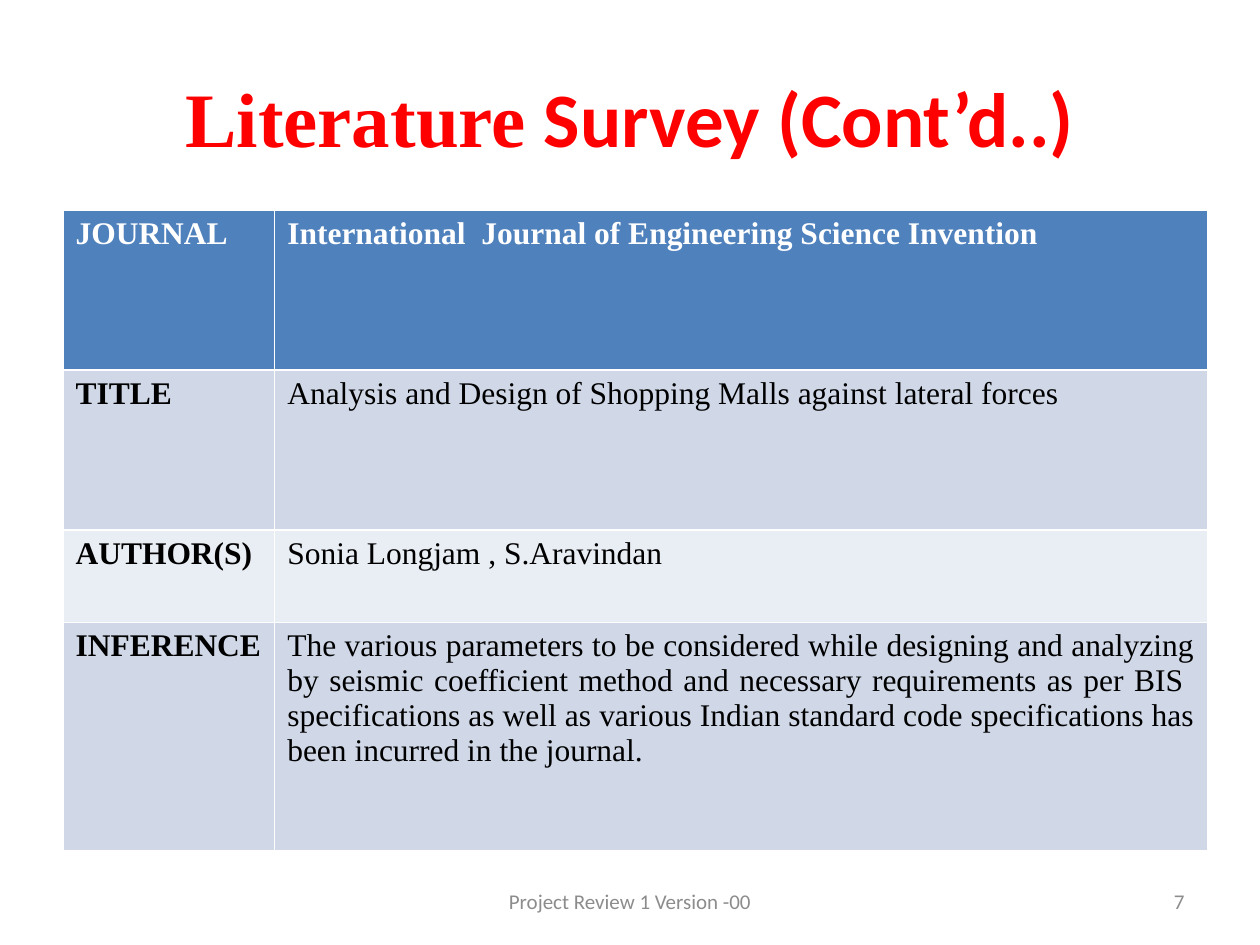
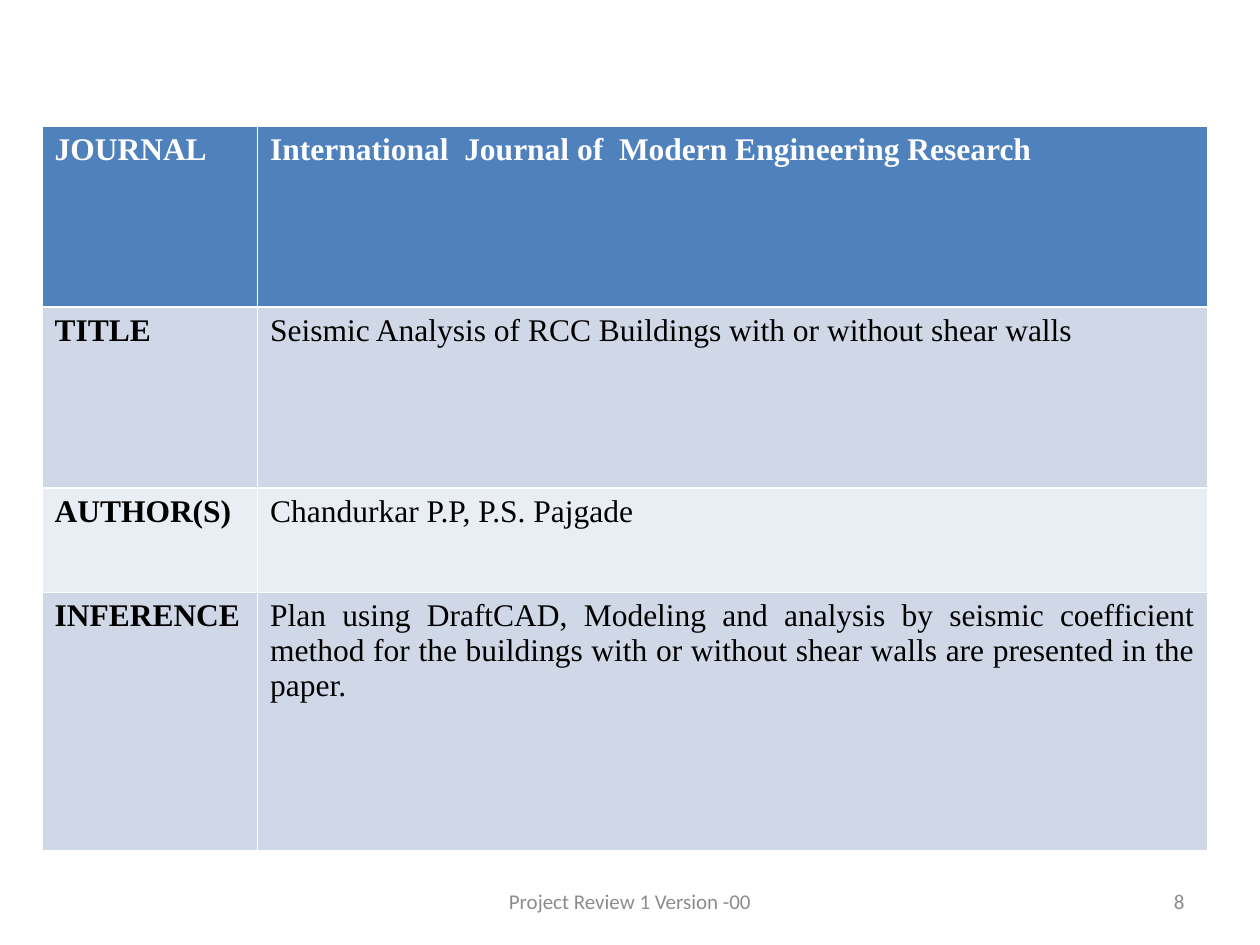
"""Build two literature survey slides, each with a paper summary table."""

from dataclasses import dataclass

from pptx import Presentation
from pptx.dml.color import RGBColor
from pptx.enum.text import MSO_ANCHOR as Anchor, PP_ALIGN as Align
from pptx.slide import Slide
from pptx.text.text import Font
from pptx.util import Pt

SERIF, SANS = "Times New Roman", "Calibri"
RED, WHITE, BLACK, GREY = "FF0000", "FFFFFF", "000000", "8C8C8C"
FILLS = ("4F81BD", "D0D8E8", "E9EDF4", "D0D8E8")
LABELS = ("JOURNAL", "TITLE", "AUTHOR(S)", "INFERENCE")
SHARES = (0.25, 0.25, 0.144, 0.356)
LABEL_SHARE = 0.185
RIGHT, BOTTOM = 690, 486
FOOTER = "Project Review 1 Version -00"


@dataclass
class Box:
    """A frame on the slide, in points."""

    left: float
    top: float
    width: float
    height: float


@dataclass
class Run:
    """A piece of text in one font."""

    text: str
    face: str


@dataclass
class Paper:
    """One surveyed paper and the place of its table."""

    number: int
    left: float
    top: float
    values: tuple[str, str, str, str]
    title: tuple[Run, ...] = ()


PAPERS = (
    Paper(7, 36, 120, (
        "International  Journal of Engineering Science Invention",
        "Analysis and Design of Shopping Malls against lateral forces",
        "Sonia Longjam , S.Aravindan",
        "The various parameters to be considered while designing and analyzing "
        "by seismic coefficient method and necessary requirements as per BIS  "
        "specifications as well as various Indian standard code specifications "
        "has been incurred in the journal.",
    ), (Run("Literature", SERIF), Run(" Survey (Cont’d..)", SANS))),
    Paper(8, 24, 72, (
        "International  Journal of  Modern Engineering Research",
        "Seismic Analysis of RCC Buildings with or without shear walls",
        "Chandurkar P.P, P.S. Pajgade",
        "Plan using DraftCAD, Modeling and analysis by seismic coefficient "
        "method for the buildings with or without shear walls are presented "
        "in the paper.",
    )),
)
TITLE_BOX = Box(36, 21.6, 648, 90)
FOOT_BOX = Box(246, 500.5, 228, 28.75)
PAGE_BOX = Box(516, 500.5, 168, 28.75)


def color(code: str) -> RGBColor:
    """Turn a hex string into a colour."""
    return RGBColor.from_string(code)


def style(font: Font, size: float, code: str, bold: bool = False) -> None:
    """Set the size, colour and weight of a font."""
    font.size, font.bold = Pt(size), bold
    font.color.rgb = color(code)


def write(slide: Slide, box: Box, runs: tuple[Run, ...], align: Align,
          size: float, code: str, bold: bool = False) -> None:
    """Add a one-line text box, centred in height."""
    frame = slide.shapes.add_textbox(
        Pt(box.left), Pt(box.top), Pt(box.width), Pt(box.height)).text_frame
    frame.word_wrap = True
    frame.vertical_anchor = Anchor.MIDDLE
    para = frame.paragraphs[0]
    para.alignment = align
    style(para.font, size, code, bold)
    for item in runs:
        run = para.add_run()
        run.text, run.font.name = item.text, item.face
        style(run.font, size, code, bold)


def tabulate(slide: Slide, paper: Paper) -> None:
    """Add the summary table, with rows and columns sized by share."""
    width, height = RIGHT - paper.left, BOTTOM - paper.top
    table = slide.shapes.add_table(
        len(LABELS), 2, Pt(paper.left), Pt(paper.top),
        Pt(width), Pt(height)).table
    for column, share in zip(table.columns, (LABEL_SHARE, 1 - LABEL_SHARE)):
        column.width = Pt(width * share)
    for i, pair in enumerate(zip(LABELS, paper.values)):
        table.rows[i].height = Pt(height * SHARES[i])
        for j, text in enumerate(pair):
            cell = table.cell(i, j)
            cell.fill.solid()
            cell.fill.fore_color.rgb = color(FILLS[i])
            cell.text = text
            para = cell.text_frame.paragraphs[0]
            para.alignment = Align.JUSTIFY if j else Align.LEFT
            para.font.name = SERIF
            style(para.font, 18, BLACK if i else WHITE, i == 0 or j == 0)


def main() -> None:
    """Build and save the slides."""
    deck = Presentation()
    deck.slide_width, deck.slide_height = Pt(720), Pt(540)
    for paper in PAPERS:
        slide = deck.slides.add_slide(deck.slide_layouts[6])
        if paper.title:
            write(slide, TITLE_BOX, paper.title, Align.CENTER, 44, RED, True)
        tabulate(slide, paper)
        write(slide, FOOT_BOX, (Run(FOOTER, SANS),), Align.CENTER, 12, GREY)
        write(slide, PAGE_BOX, (Run(str(paper.number), SANS),),
              Align.RIGHT, 12, GREY)
    deck.save("out.pptx")


if __name__ == "__main__":
    main()
